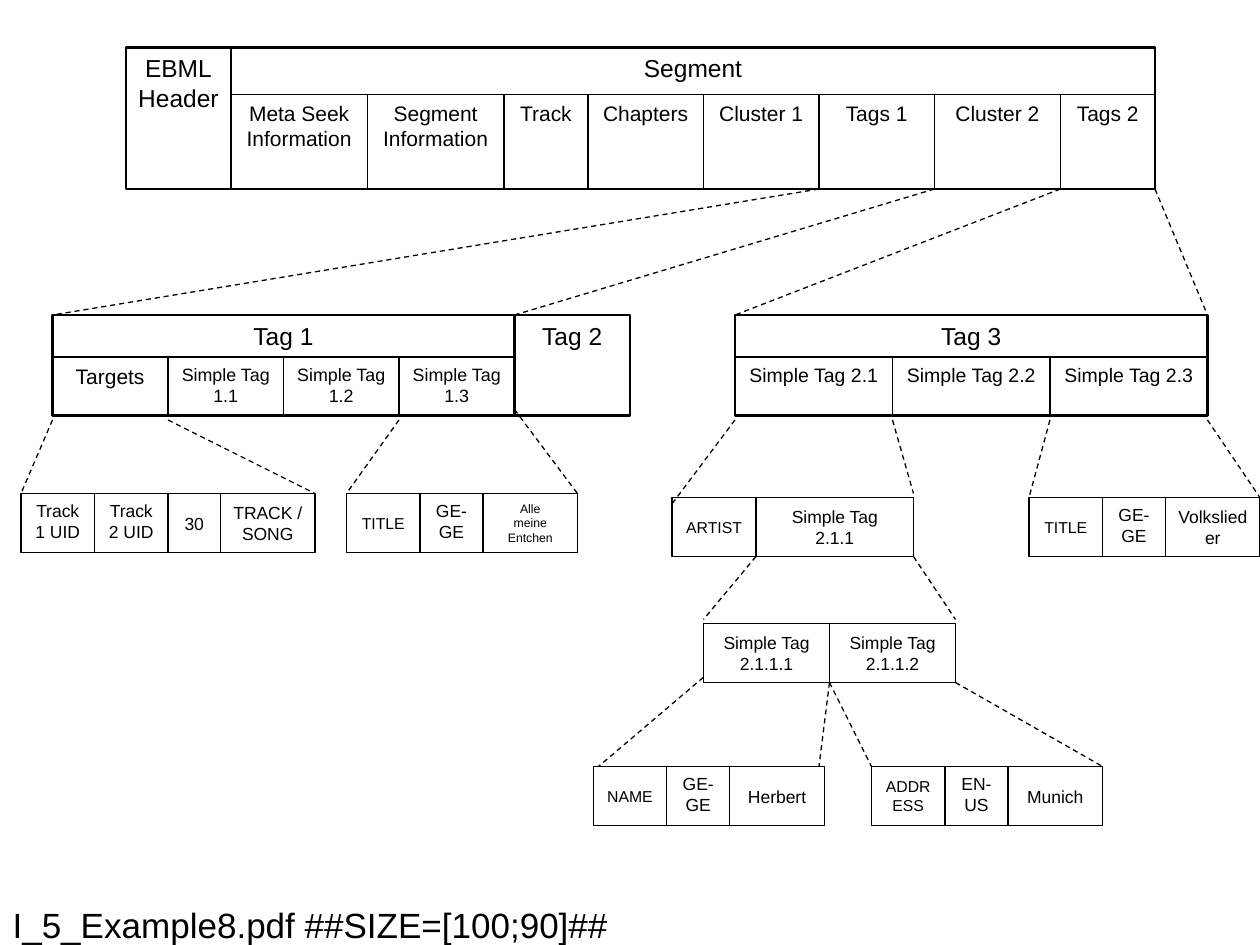
from dataclasses import dataclass

from lxml import etree
from pptx import Presentation
from pptx.dml.color import RGBColor
from pptx.enum.dml import MSO_LINE
from pptx.enum.shapes import MSO_CONNECTOR, MSO_SHAPE
from pptx.enum.text import MSO_ANCHOR, MSO_AUTO_SIZE, PP_ALIGN
from pptx.oxml.ns import qn
from pptx.util import Pt

TOP, MIDDLE = MSO_ANCHOR.TOP, MSO_ANCHOR.MIDDLE
LEFT, CENTER = PP_ALIGN.LEFT, PP_ALIGN.CENTER
RECTANGLE = MSO_SHAPE.RECTANGLE
STRAIGHT = MSO_CONNECTOR.STRAIGHT
DASH = MSO_LINE.DASH
NO_AUTOFIT = MSO_AUTO_SIZE.NONE


@dataclass(frozen=True)
class Theme:
    ink: RGBColor = RGBColor(0, 0, 0)
    font: str = "Arial"
    title: float = 20
    frame: float = 14
    element: float = 12
    simple_tag: float = 11.1
    narrow_tag: float = 10.2
    value: float = 10
    name: float = 9
    small: float = 7
    frame_line: float = 1.5
    cell_line: float = 0.75


THEME = Theme()

# text, left, top, width, height
FRAMES = [
    ("EBML\nHeader", 72, 27, 60, 81),
    ("Segment", 132, 27, 528, 81),
    ("Tag 1", 30, 180, 264, 57.6),
    ("Tag 2", 294, 180, 66, 57.6),
    ("Tag 3", 420, 180, 270, 57.6),
]

SEGMENT_PARTS = [
    ("Meta Seek Information", 78), ("Segment\nInformation", 78), ("Track", 48),
    ("Chapters", 66), ("Cluster 1", 66), ("Tags 1", 66), ("Cluster 2", 72),
    ("Tags 2", 54),
]

VALUE_HEIGHT = 33.75

# Left and top of each name / language / value triple
TAG_VALUES = [
    (198, 282, "TITLE", "GE-GE", "Alle\nmeine Entchen", THEME.small),
    (588, 284.4, "TITLE", "GE-GE", "Volkslieder", THEME.value),
    (339, 438, "NAME", "GE-GE", "Herbert", THEME.value),
    (498, 438, "ADDRESS", "EN-US", "Munich", THEME.value),
]

# Start x, y and end x, y of each line from a parent to its details
EXPANSIONS = [
    (468, 108, 30, 180), (534, 108, 294, 180),
    (606, 108, 420, 180), (660, 108, 690, 180),
    (30, 240, 12, 282), (96, 240, 180, 282),
    (228, 240, 198, 282), (294, 234, 330, 282),
    (600, 240, 588, 284.4), (690, 240, 720, 284.4),
    (420, 240, 384, 288), (510, 240, 522, 282),
    (432, 318, 402, 354), (522, 318, 546, 354),
    (402, 387, 342, 438), (474, 390, 468, 438),
    (474, 390, 498, 438), (546, 390, 630, 438),
]


def set_text(tf, text, size, align=CENTER, **frame_format):
    for key, value in frame_format.items():
        setattr(tf, key, value)
    p = tf.paragraphs[0]
    p.text = text
    p.alignment = align
    for r in p.runs:
        for key, value in {"name": THEME.font, "size": Pt(size), "bold": False}.items():
            setattr(r.font, key, value)
        r.font.color.rgb = THEME.ink
    # Line breaks carry their own size, which sets the line height
    for br in tf._txBody.iter(qn("a:br")):
        etree.SubElement(br, qn("a:rPr"), sz=str(round(size * 100)))


def add_title(slide, text):
    sp = slide.shapes.title
    box = {"left": 0, "top": 516, "width": 612, "height": 24}
    for key, value in box.items():
        setattr(sp, key, Pt(value))
    set_text(sp.text_frame, text, THEME.title, LEFT, vertical_anchor=MIDDLE,
             auto_size=NO_AUTOFIT, word_wrap=True)


def add_box(slide, text, box, size, line_width, anchor=TOP, wrap=True):
    sp = slide.shapes.add_shape(RECTANGLE, *map(Pt, box))
    sp.shadow.inherit = False
    sp.fill.background()
    sp.line.color.rgb = THEME.ink
    sp.line.width = Pt(line_width)
    set_text(sp.text_frame, text, size, vertical_anchor=anchor, word_wrap=wrap)


def add_row(slide, left, top, height, cells):
    """Lay cells of (text, width, size, anchor) side by side."""
    for text, width, size, anchor in cells:
        add_box(slide, text, (left, top, width, height), size, THEME.cell_line, anchor)
        left += width


def add_expansion(slide, ends):
    line = slide.shapes.add_connector(STRAIGHT, *map(Pt, ends))
    line.line.color.rgb = THEME.ink
    line.line.width = Pt(THEME.cell_line)
    line.line.dash_style = DASH
    etree.SubElement(line._element.spPr, qn("a:effectLst"))


def add_segment_and_tags(slide):
    for text, *box in FRAMES:
        add_box(slide, text, box, THEME.frame, THEME.frame_line, wrap=False)
    add_row(slide, 132, 54, 54,
            [(text, width, THEME.element, TOP) for text, width in SEGMENT_PARTS])
    add_row(slide, 30, 204, 33.6,
            [("Targets", 66, THEME.element, TOP)]
            + [(f"Simple Tag 1.{i}", 66, THEME.narrow_tag, TOP) for i in (1, 2, 3)])
    add_row(slide, 420, 204, 33.6,
            [(f"Simple Tag 2.{i}", 90, THEME.simple_tag, TOP) for i in (1, 2, 3)])


def add_tag_details(slide):
    add_row(slide, 12, 282, VALUE_HEIGHT,
            [(f"Track {i} UID", 42, THEME.value, TOP) for i in (1, 2)]
            + [("30", 30, THEME.value, MIDDLE), ("TRACK / SONG", 54, THEME.value, MIDDLE)])
    add_row(slide, 384, 284.4, VALUE_HEIGHT,
            [("ARTIST", 48, THEME.name, MIDDLE),
             ("Simple Tag\n2.1.1", 90, THEME.value, MIDDLE)])
    add_row(slide, 402, 356.4, VALUE_HEIGHT,
            [(f"Simple Tag\n2.1.1.{i}", 72, THEME.value, MIDDLE) for i in (1, 2)])
    for left, top, name, language, value, size in TAG_VALUES:
        add_row(slide, left, top, VALUE_HEIGHT,
                [(name, 42, THEME.name, MIDDLE), (language, 36, THEME.value, TOP),
                 (value, 54, size, MIDDLE)])


def main():
    prs = Presentation()
    prs.slide_width, prs.slide_height = Pt(720), Pt(540)
    slide = prs.slides.add_slide(prs.slide_layouts[5])
    add_title(slide, "I_5_Example8.pdf ##SIZE=[100;90]##")
    add_segment_and_tags(slide)
    add_tag_details(slide)
    for ends in EXPANSIONS:
        add_expansion(slide, ends)
    prs.save("out.pptx")


if __name__ == "__main__":
    main()
